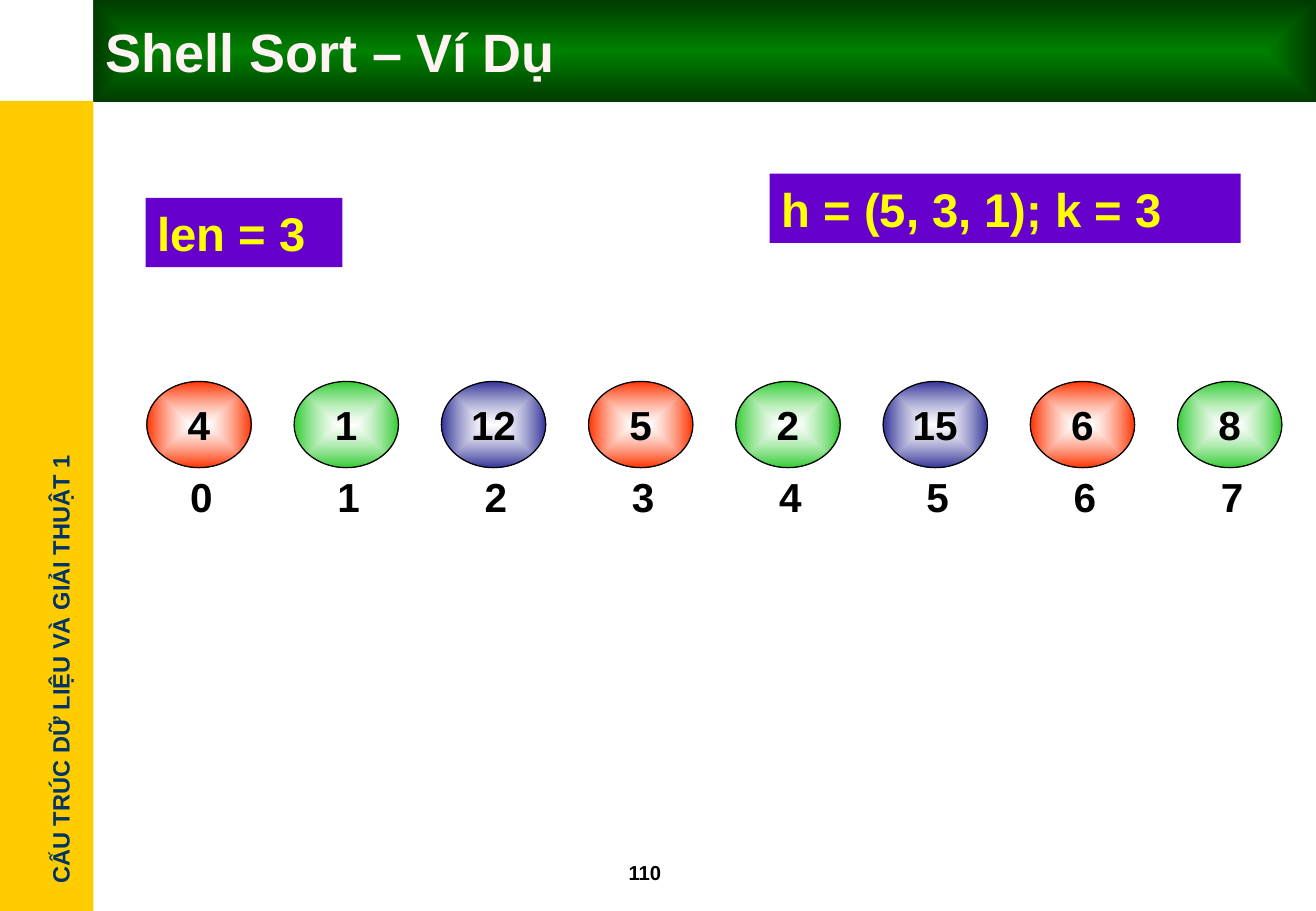
"""Shell Sort example slide: eight numbered elements in three colour groups."""
from pptx import Presentation
from pptx import oxml, util as u
from pptx.dml.color import RGBColor
from pptx.enum import shapes, text
from pptx.oxml import ns

COLOURS = {
    "sidebar": "FFCC00", "course": "003366", "title": "FFF3F3",
    "strip_dark": "002F00", "strip_light": "006600",
    "bar_centre": "008000", "bar_edge": "003B00",
    "label": "6600CC", "label_text": "FFFF00",
    "black": "000000", "white": "FFFFFF",
    "red": "FF3300", "green": "33CC33", "blue": "333399",
}
RECT, OVAL = shapes.MSO_SHAPE.RECTANGLE, shapes.MSO_SHAPE.OVAL
LEFT, CENTRE = text.PP_ALIGN.LEFT, text.PP_ALIGN.CENTER
BOX_PATH = '<a:path path="rect"><a:fillToRect l="50000" t="50000" r="50000" b="50000"/></a:path>'
LINEAR = '<a:lin ang="0" scaled="1"/>'


def add_box(kind, at, words="", size=12, colour="black", align=LEFT, fill=None):
    """Add an unlined shape with bold Arial text."""
    box = page.shapes.add_shape(kind, *map(u.Inches, at))
    box.shadow.inherit = False
    box.line.fill.background()
    if fill:
        box.fill.solid()
        box.fill.fore_color.rgb = RGBColor.from_string(COLOURS[fill])
    else:
        box.fill.background()
    box.text_frame.vertical_anchor = text.MSO_ANCHOR.MIDDLE
    para = box.text_frame.paragraphs[0]
    para.text = words
    para.alignment = align
    para.font.name = "Arial"
    para.font.size = u.Pt(size)
    para.font.bold = True
    para.font.color.rgb = RGBColor.from_string(COLOURS[colour])
    return box


def set_gradient(box, start, end, direction, alpha=100):
    """Replace the empty fill of a box with a two-colour gradient."""
    gradient = oxml.parse_xml(
        f'<a:gradFill {ns.nsdecls("a")} rotWithShape="1"><a:gsLst>'
        f'<a:gs pos="0"><a:srgbClr val="{COLOURS[start]}"><a:alpha val="{alpha * 1000}"/></a:srgbClr></a:gs>'
        f'<a:gs pos="100000"><a:srgbClr val="{COLOURS[end]}"/></a:gs>'
        f'</a:gsLst>{direction}</a:gradFill>')
    properties = box.element.spPr
    properties.replace(properties.find(ns.qn("a:noFill")), gradient)


deck = Presentation()
deck.slide_width, deck.slide_height = u.Inches(10.84), u.Inches(7.5)
page = deck.slides.add_slide(deck.slide_layouts[6])

add_box(RECT, (0, 0.83, 0.77, 6.67), fill="sidebar")
course = add_box(RECT, (-1.37, 5.34, 3.73, 0.34), "CẤU TRÚC DỮ LIỆU VÀ GIẢI THUẬT 1", 14, "course")
course.rotation = 270
course.text_frame.word_wrap = False
strip = add_box(RECT, (0.77, 0, 10.07, 0.83))
set_gradient(strip, "strip_dark", "strip_light", LINEAR)
add_box(RECT, (5.08, 7.03, 0.83, 0.3), "110")

title = add_box(RECT, (0.77, 0, 10.07, 0.84), "Shell Sort – Ví Dụ", 32, "title")
set_gradient(title, "bar_centre", "bar_edge", BOX_PATH)
add_box(RECT, (6.34, 1.43, 3.88, 0.57), "h = (5, 3, 1); k = 3", 28, "label_text", fill="label")
add_box(RECT, (1.2, 1.63, 1.62, 0.57), "len = 3", 28, "label_text", fill="label")

groups = ["red", "green", "blue"]
for index, value in enumerate([4, 1, 12, 5, 2, 15, 6, 8]):
    left = 1.21 + index * 8.49 / 7
    element = add_box(OVAL, (left, 3.14, 0.86, 0.71), str(value), 24, align=CENTRE)
    set_gradient(element, "white", groups[index % len(groups)], BOX_PATH, alpha=60)
    element.line.color.rgb = RGBColor.from_string(COLOURS["black"])
    element.line.width = u.Pt(0.75)
    add_box(OVAL, (left + 0.02, 3.73, 0.86, 0.71), str(index), 24, align=CENTRE)

deck.save("out.pptx")
